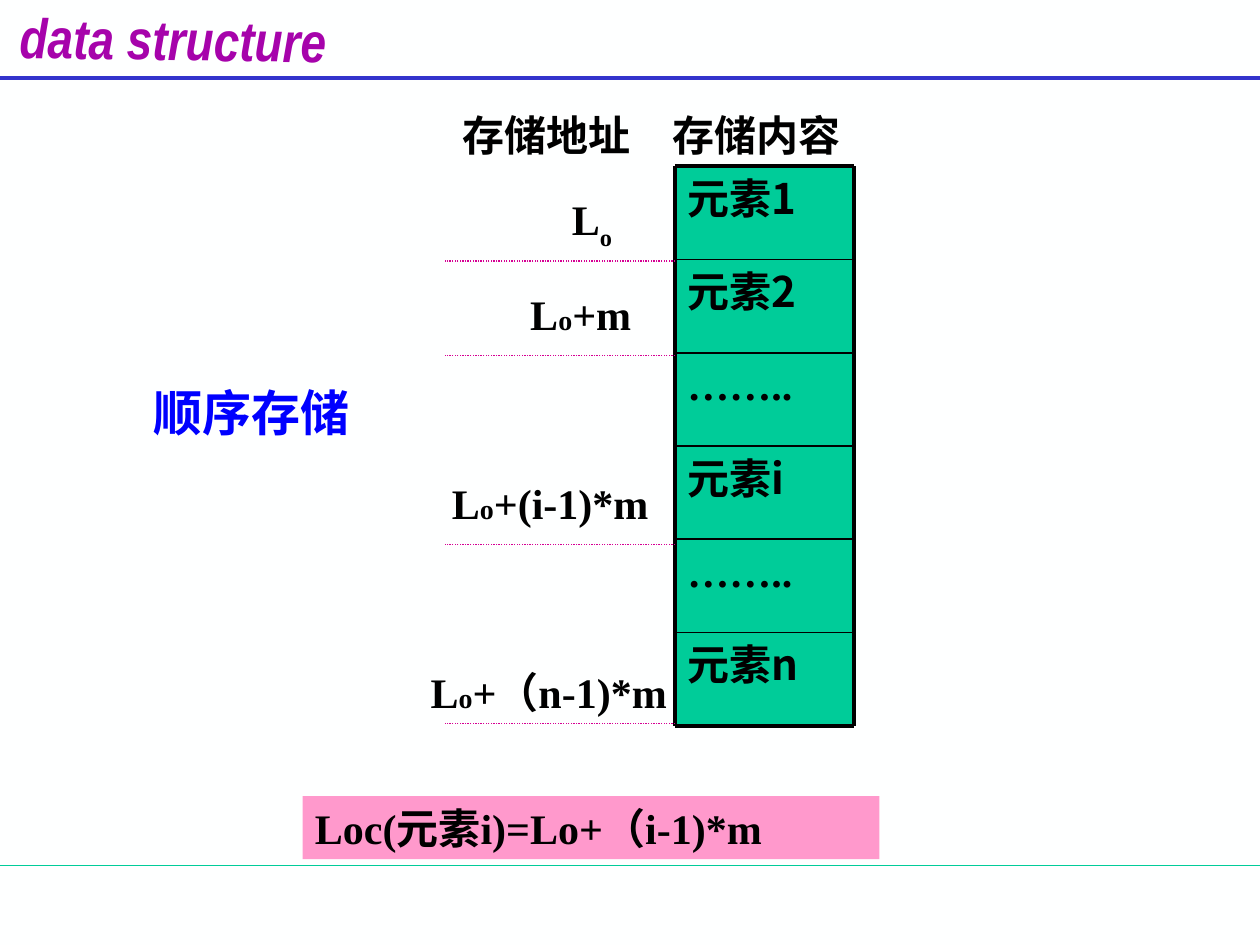
from dataclasses import dataclass

from lxml.etree import SubElement
from pptx import Presentation
from pptx.dml.color import RGBColor
from pptx.enum.dml import MSO_LINE
from pptx.enum.shapes import MSO_CONNECTOR, MSO_SHAPE
from pptx.enum.text import MSO_ANCHOR, PP_ALIGN
from pptx.oxml.ns import qn
from pptx.util import Cm, Pt

PAPER = RGBColor(0xFE, 0xFF, 0xFF)
BLACK = RGBColor(0, 0, 0)
BLUE = RGBColor(0, 0, 0xFF)
NAVY = RGBColor(0x33, 0x33, 0xCC)
GREEN = RGBColor(0, 0xCC, 0x99)
PINK = RGBColor(0xFF, 0x99, 0xCC)
ROSE = RGBColor(0xD6, 0, 0x93)
PLUM = RGBColor(0xA6, 0x03, 0xAB)

SERIF = "Times New Roman"
HAN = "Noto Sans CJK SC"


@dataclass
class Run:
    text: str
    size: float = 24
    base: int = 0


@dataclass
class Label:
    left: float
    top: float
    width: float
    height: float
    runs: list[Run]
    face: str = SERIF
    color: RGBColor = BLACK
    fill: RGBColor | None = None
    wrap: bool = True
    italic: bool = False
    turn: float = 0


@dataclass
class Rule:
    start: tuple[float, float]
    end: tuple[float, float]
    color: RGBColor = BLACK
    width: float = 1
    dash: MSO_LINE | None = None


def draw_label(shapes, item: Label) -> None:
    area = [Cm(v) for v in (item.left, item.top, item.width, item.height)]
    if item.fill is None:
        box = shapes.add_textbox(*area)
    else:
        box = shapes.add_shape(MSO_SHAPE.RECTANGLE, *area)
        box.shadow.inherit = False
        box.fill.solid()
        box.fill.fore_color.rgb = item.fill
        box.line.fill.background()
    box.rotation = item.turn
    frame = box.text_frame
    frame.word_wrap = item.wrap
    frame.vertical_anchor = MSO_ANCHOR.TOP
    para = frame.paragraphs[0]
    para.alignment = PP_ALIGN.LEFT
    for part in item.runs:
        run = para.add_run()
        run.text = part.text
        style = {"name": item.face, "size": Pt(part.size),
                 "bold": True, "italic": item.italic}
        for key, value in style.items():
            setattr(run.font, key, value)
        run.font.color.rgb = item.color
        props = run.font._element
        SubElement(props, qn("a:ea")).set("typeface", HAN)
        if part.base:
            props.set("baseline", str(part.base * 1000))


def draw_rule(shapes, item: Rule) -> None:
    ends = [Cm(v) for v in item.start + item.end]
    line = shapes.add_connector(MSO_CONNECTOR.STRAIGHT, *ends)
    line.line.color.rgb = item.color
    line.line.width = Pt(item.width)
    if item.dash is not None:
        line.line.dash_style = item.dash
    SubElement(line._element.spPr, qn("a:effectLst"))


def place(tail: str) -> list[Run]:
    return [Run("L"), Run("o", 16), Run(tail)]


deck = Presentation()
deck.slide_width, deck.slide_height = Cm(25.4), Cm(19.05)
slide = deck.slides.add_slide(deck.slide_layouts[6])
slide.background.fill.solid()
slide.background.fill.fore_color.rgb = PAPER
shapes = slide.shapes

# Page rules and heading
draw_rule(shapes, Rule((0, 17.45), (25.4, 17.45), GREEN, 0.75))
draw_rule(shapes, Rule((0, 1.57), (25.4, 1.57), NAVY, 2.25))
draw_label(shapes, Label(0.15, -0.03, 7.2, 1.37, [Run("data structure", 32)],
                         "Arial Narrow", PLUM, italic=True, turn=0.8))

# Memory cells
LEFT, TOP, WIDE, HIGH = 13.61, 3.35, 3.61, 1.88
DOTS = "…….."
cells = ["元素1", "元素2", DOTS, "元素i", DOTS, "元素n"]
RIGHT, FOOT = LEFT + WIDE, TOP + HIGH * len(cells)
for row, text in enumerate(cells):
    face = SERIF if text == DOTS else HAN
    draw_label(shapes, Label(LEFT, TOP + row * HIGH, WIDE, HIGH,
                             [Run(text)], face, fill=GREEN))

# Cell borders: thick frame, thin rows
for row in range(len(cells) + 1):
    y = TOP + row * HIGH
    thick = 2.25 if row in (0, len(cells)) else 1
    draw_rule(shapes, Rule((LEFT, y), (RIGHT, y), width=thick))
for x in (LEFT, RIGHT):
    draw_rule(shapes, Rule((x, TOP), (x, FOOT), width=2.25))

# Column heads, addresses, formula and topic
labels = [
    Label(9.07, 2.08, 4.34, 1.27, [Run("存储地址")]),
    Label(13.31, 2.08, 4.01, 1.27, [Run("存储内容")]),
    Label(11.28, 3.78, 2.11, 1.42, [Run("L"), Run("o", base=-25)]),
    Label(10.44, 5.69, 2.97, 1.27, place("+m")),
    Label(8.86, 9.5, 5.38, 1.27, place("+(i-1)*m")),
    Label(8.43, 13.31, 5.28, 2.29, place("+（n-1)*m")),
    Label(6.1, 16.05, 11.63, 1.27, [Run("Loc(元素i)=Lo+（i-1)*m")], fill=PINK),
    Label(2.84, 7.59, 4.45, 1.45, [Run("顺序存储", 28)], color=BLUE, wrap=False),
]
for item in labels:
    draw_label(shapes, item)

# Dotted address marks
for y in (5.26, 7.16, 10.97, 14.58):
    draw_rule(shapes, Rule((LEFT, y), (8.97, y), ROSE, 0.75, MSO_LINE.ROUND_DOT))

deck.save("out.pptx")
